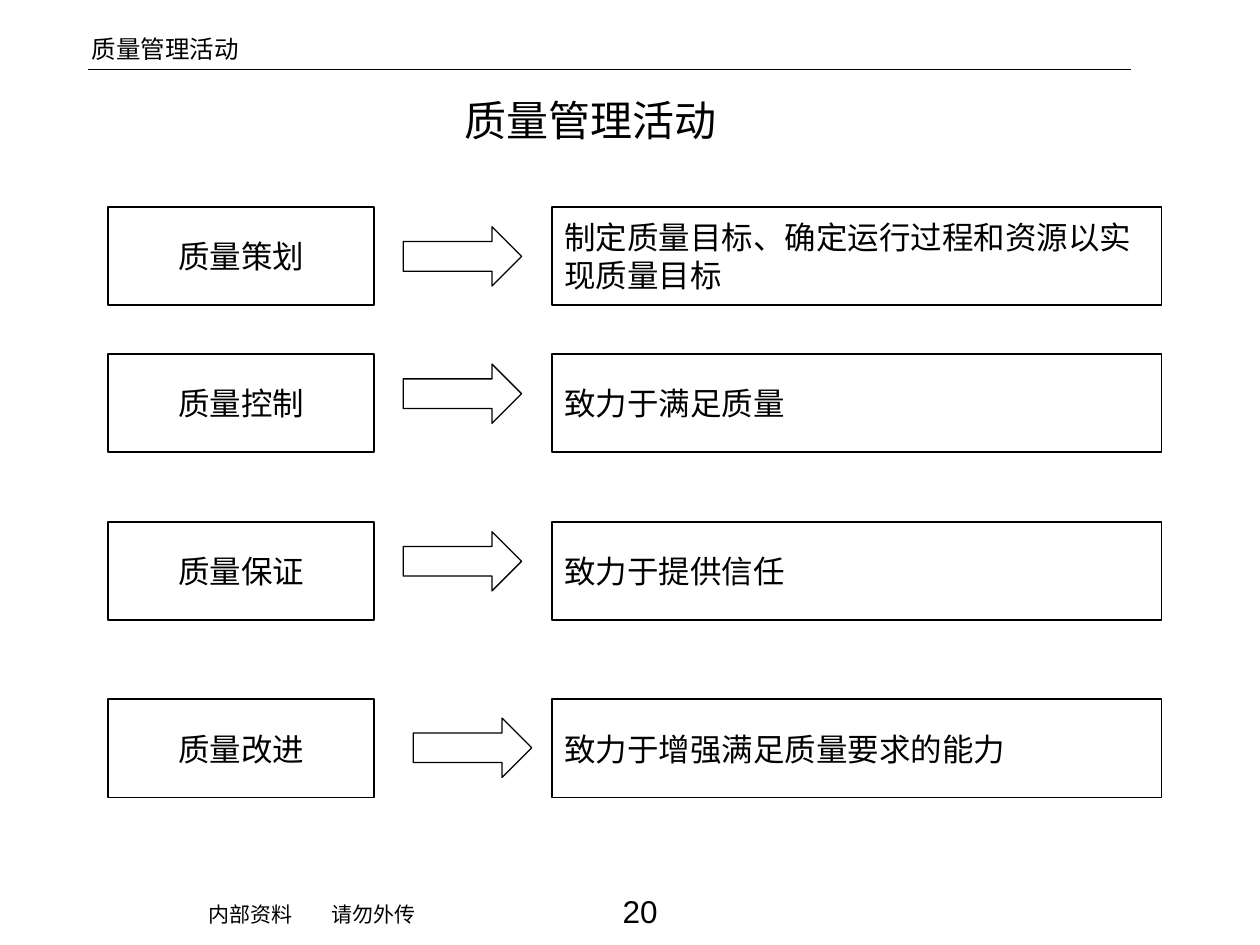
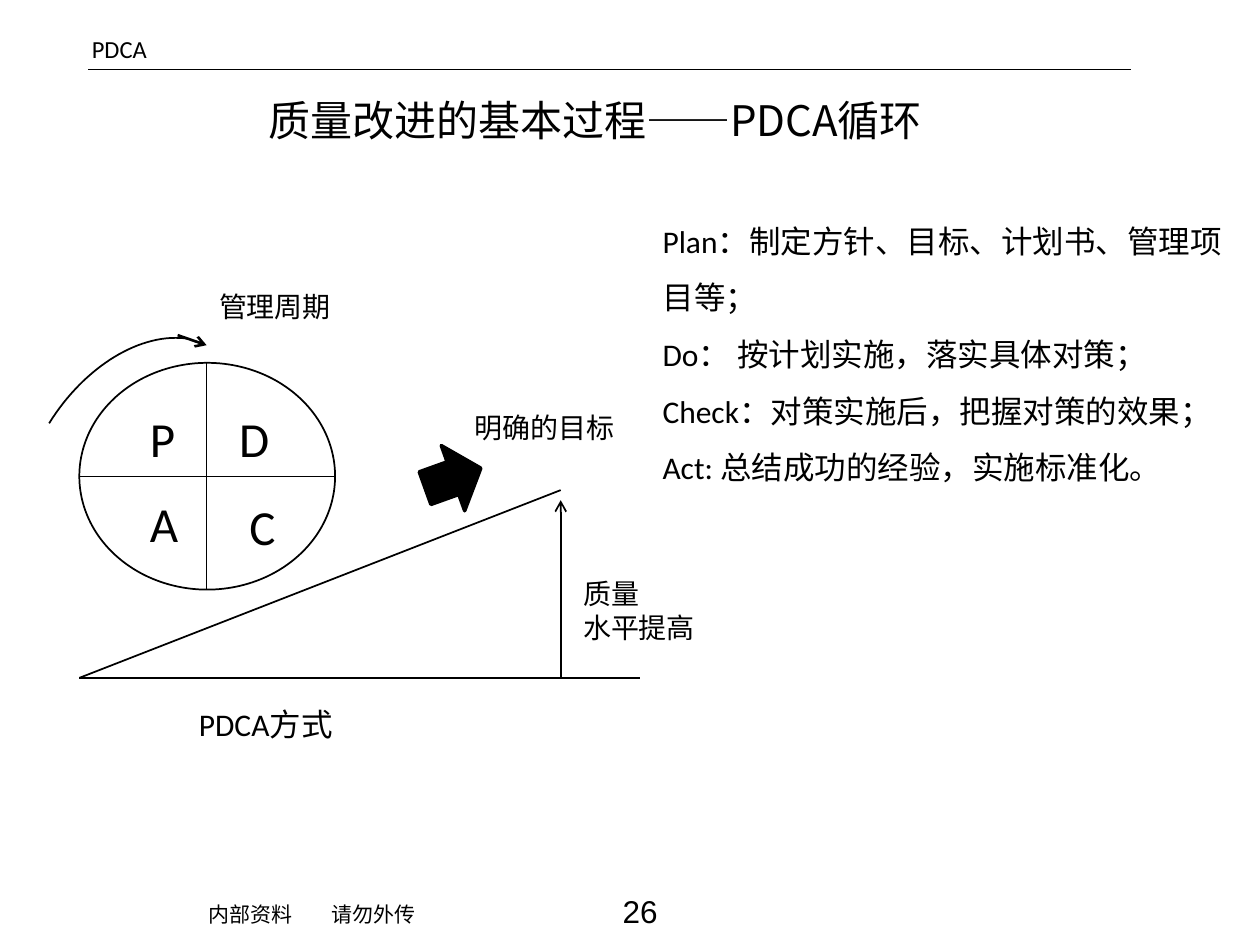
from lxml import etree
from pptx import Presentation
from pptx.dml.color import RGBColor
from pptx.enum.shapes import MSO_CONNECTOR, MSO_SHAPE
from pptx.enum.text import MSO_ANCHOR, PP_ALIGN
from pptx.oxml.ns import qn
from pptx.util import Inches, Pt

STRAIGHT = MSO_CONNECTOR.STRAIGHT
RECTANGLE, ELLIPSE = MSO_SHAPE.RECTANGLE, MSO_SHAPE.OVAL
RIGHT_ARROW = MSO_SHAPE.RIGHT_ARROW
MIDDLE = MSO_ANCHOR.MIDDLE
LEFT, CENTER = PP_ALIGN.LEFT, PP_ALIGN.CENTER

COLORS = {name: RGBColor.from_string(value) for name, value in
          {"ink": "000000", "paper": "FFFFFF"}.items()}
BODY_FONT, TITLE_FONT, FOOTER_FONT = "Calibri", "Noto Sans CJK SC", "Arial"


def write(box, lines, size, font=BODY_FONT, align=LEFT, spacing=None):
    """Fill a box with one paragraph per line."""
    frame = box.text_frame
    frame.word_wrap = True
    for number, line in enumerate(lines):
        para = frame.add_paragraph() if number else frame.paragraphs[0]
        para.alignment = align
        para.line_spacing = spacing
        span = para.add_run()
        span.text = line
        span.font.size = Pt(size)
        span.font.name = font
        span.font.color.rgb = COLORS["ink"]
        east_asian = etree.SubElement(span.font._element, qn("a:ea"))
        east_asian.set("typeface", TITLE_FONT)


def draw_line(page, x1, y1, x2, y2, width, arrow=False):
    line = page.shapes.add_connector(
        STRAIGHT, Inches(x1), Inches(y1), Inches(x2), Inches(y2))
    line.line.color.rgb = COLORS["ink"]
    line.line.width = Pt(width)
    if arrow:
        tail = etree.SubElement(line.line._get_or_add_ln(), qn("a:tailEnd"))
        tail.set("type", "arrow")
    etree.SubElement(line._element.spPr, qn("a:effectLst"))


deck = Presentation()
deck.slide_width, deck.slide_height = Inches(10), Inches(7.5)

# Shared header, title and footer
pages = []
for header, title, title_left, title_width, number in [
    ("质量管理活动", "质量管理活动", 3.59, 2.42, "20"),
    ("PDCA", "质量改进的基本过程——PDCA循环", 2.03, 5.39, "26"),
]:
    page = deck.slides.add_slide(deck.slide_layouts[6])
    pages.append(page)
    draw_line(page, 0.7, 0.55, 8.98, 0.55, 0.75)
    for text, left, top, width, height, size, font, align in [
        (header, 0.63, 0.22, 3.28, 0.34, 14, BODY_FONT, LEFT),
        (title, title_left, 0.7, title_width, 0.5, 24, TITLE_FONT, LEFT),
        (number, 3.52, 7.03, 3.12, 0.4, 18, FOOTER_FONT, CENTER),
        ("内部资料\t请勿外传", 1.56, 7.11, 3.59, 0.3, 12, FOOTER_FONT, LEFT),
    ]:
        box = page.shapes.add_textbox(
            Inches(left), Inches(top), Inches(width), Inches(height))
        write(box, [text], size, font, align)
    # The footer is the last box; a tab stop separates its two phrases
    properties = box.text_frame.paragraphs[0]._p.get_or_add_pPr()
    stops = etree.SubElement(properties, qn("a:tabLst"))
    etree.SubElement(stops, qn("a:tab"), pos=str(Inches(0.97)), algn="l")

activities_page, cycle_page = pages

# Quality management activities: name, arrow, purpose
for name, purpose, top, arrow_left, arrow_top in [
    ("质量策划", "制定质量目标、确定运行过程和资源以实现质量目标", 1.64, 3.2, 1.8),
    ("质量控制", "致力于满足质量", 2.81, 3.2, 2.89),
    ("质量保证", "致力于提供信任", 4.14, 3.2, 4.22),
    ("质量改进", "致力于增强满足质量要求的能力", 5.55, 3.28, 5.7),
]:
    for kind, text, left, y, width, height, border, align in [
        (RECTANGLE, name, 0.86, top, 2.11, 0.78, 1, CENTER),
        (RECTANGLE, purpose, 4.38, top, 4.84, 0.78, 1, LEFT),
        (RIGHT_ARROW, None, arrow_left, arrow_top, 0.94, 0.47, 0.75, LEFT),
    ]:
        box = activities_page.shapes.add_shape(
            kind, Inches(left), Inches(y), Inches(width), Inches(height))
        box.shadow.inherit = False
        box.fill.solid()
        box.fill.fore_color.rgb = COLORS["paper"]
        box.line.color.rgb = COLORS["ink"]
        box.line.width = Pt(border)
        if text:
            box.text_frame.vertical_anchor = MIDDLE
            write(box, [text], 18, align=align)

# PDCA cycle: slope, wheel and direction arrow
draw_line(cycle_page, 0.63, 5.38, 5.08, 5.38, 1)
draw_line(cycle_page, 0.63, 5.38, 4.45, 3.89, 1)
for kind, left, top, width, height, fill, border, rotation in [
    (ELLIPSE, 0.63, 2.88, 2.03, 1.8, "paper", 1, 0),
    (RIGHT_ARROW, 3.36, 3.52, 0.47, 0.55, "ink", 2, 340.3),
]:
    shape = cycle_page.shapes.add_shape(
        kind, Inches(left), Inches(top), Inches(width), Inches(height))
    shape.shadow.inherit = False
    shape.rotation = rotation
    shape.fill.solid()
    shape.fill.fore_color.rgb = COLORS[fill]
    shape.line.color.rgb = COLORS["ink"]
    shape.line.width = Pt(border)
draw_line(cycle_page, 0.63, 3.78, 2.66, 3.78, 0.75)
draw_line(cycle_page, 1.64, 2.88, 1.64, 4.68, 0.75)
draw_line(cycle_page, 4.45, 5.38, 4.45, 3.97, 1, arrow=True)

# Turning arc, sampled from a cubic curve
arc_controls = [(0.39, 3.36), (0.67, 2.91), (1.12, 2.63), (1.5, 2.69)]
arc_points = []
for step in range(33):
    t = step / 32
    weights = [(1 - t) ** 3, 3 * t * (1 - t) ** 2, 3 * t ** 2 * (1 - t), t ** 3]
    arc_points.append(tuple(
        Inches(sum(weight * point[axis]
                   for weight, point in zip(weights, arc_controls)))
        for axis in (0, 1)))
builder = cycle_page.shapes.build_freeform(*arc_points[0])
builder.add_line_segments(arc_points[1:], close=False)
arc = builder.convert_to_shape()
arc.shadow.inherit = False
arc.fill.background()
arc.line.color.rgb = COLORS["ink"]
arc.line.width = Pt(1)
draw_line(cycle_page, 1.41, 2.66, 1.64, 2.74, 1.5, arrow=True)

# Labels and explanation of the four steps
steps = [
    "Plan：制定方针、目标、计划书、管理项目等；",
    "Do： 按计划实施，落实具体对策；",
    "Check：对策实施后，把握对策的效果；",
    "Act: 总结成功的经验，实施标准化。",
]
for lines, left, top, width, height, size, spacing in [
    (steps, 5.16, 1.56, 4.69, 2.35, 18, 1.5),
    (["P"], 1.09, 3.19, 0.39, 0.57, 28, None),
    (["D"], 1.8, 3.19, 0.39, 0.57, 28, None),
    (["C"], 1.88, 3.89, 0.39, 0.57, 28, None),
    (["A"], 1.09, 3.87, 0.39, 0.57, 28, None),
    (["PDCA方式"], 1.48, 5.55, 3.28, 0.4, 18, None),
    (["质量", "水平提高"], 4.53, 4.53, 1.41, 0.64, 16, None),
    (["明确的目标"], 3.67, 3.21, 1.41, 0.37, 16, None),
    (["管理周期"], 1.64, 2.25, 1.41, 0.37, 16, None),
]:
    box = cycle_page.shapes.add_textbox(
        Inches(left), Inches(top), Inches(width), Inches(height))
    write(box, lines, size, spacing=spacing)

deck.save("out.pptx")
